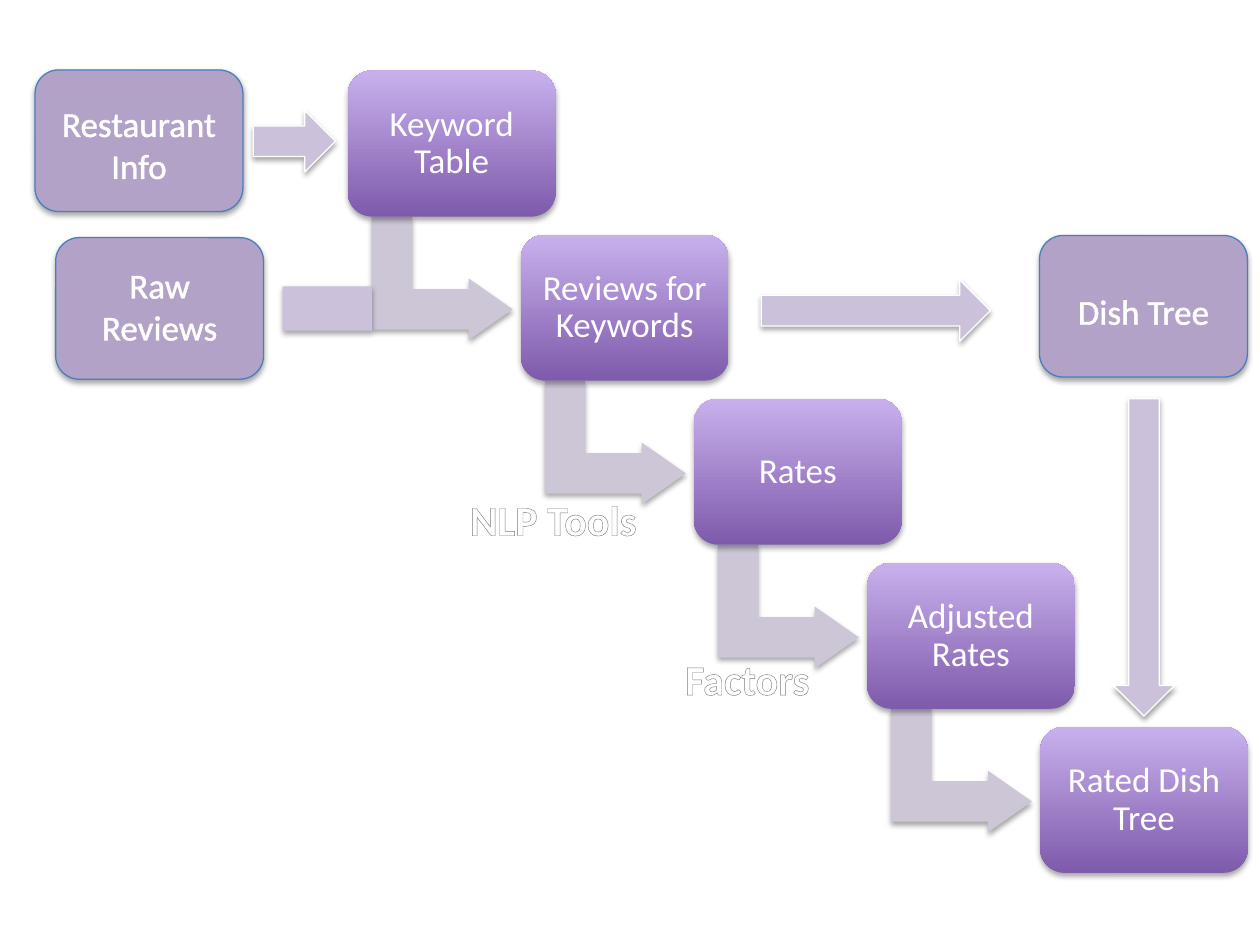
from lxml import etree
from pptx import Presentation
from pptx.dml.color import RGBColor
from pptx.enum.shapes import MSO_SHAPE as SHAPE
from pptx.enum.text import MSO_ANCHOR, MSO_AUTO_SIZE, PP_ALIGN
from pptx.oxml import parse_xml
from pptx.util import Pt

THEME = dict(
    font="Calibri", text="FFFFFF", body=20, caption=24,
    dark="7F5BAB", light="C8B0ED", source="B3A2C7", source_line="4B7EBC",
    elbow="CDC6D7", arrow="CCC1DA", arrow_line="FFFFFF",
    caption_line="7D7D7D", caption_mid="7F7F7F",
)
NS = 'xmlns:a="http://schemas.openxmlformats.org/drawingml/2006/main"'
SHADOW = (f'<a:effectLst {NS}><a:outerShdw blurRad="40000" dist="23000" dir="5400000" '
          'rotWithShape="0"><a:srgbClr val="000000"><a:alpha val="35000"/></a:srgbClr>'
          '</a:outerShdw></a:effectLst>')
OUTLINE = ('<a:ln {ns} w="{width}"><a:solidFill><a:srgbClr val="{color}"/>'
           '</a:solidFill></a:ln>')

prs = Presentation()
prs.slide_width, prs.slide_height = Pt(720), Pt(540)
s = prs.slides.add_slide(prs.slide_layouts[6])


def add_block(kind, box, fill=None, line=None, rotation=0):
    """Shadowed shape; without a fill colour it gets the purple gradient."""
    sp = s.shapes.add_shape(kind, *map(Pt, box))
    sp.rotation = rotation
    if fill:
        sp.fill.solid()
        sp.fill.fore_color.rgb = RGBColor.from_string(fill)
    else:
        sp.fill.gradient()
        sp.fill.gradient_angle = 90
        for stop, pos, name in zip(sp.fill.gradient_stops, (0, 1), ("dark", "light")):
            stop.position = pos
            stop.color.rgb = RGBColor.from_string(THEME[name])
    if line:
        sp.line.color.rgb = RGBColor.from_string(line)
        sp.line.width = Pt(0.75)
    else:
        sp.line.fill.background()
    sp.shadow.inherit = False
    empty = sp.element.spPr.find("{*}effectLst")
    empty.getparent().replace(empty, parse_xml(SHADOW))
    return sp


def add_label(text, box, size, outline=None, bold=False):
    """Centred white text box, optionally with outlined letters."""
    tf = s.shapes.add_textbox(*map(Pt, box)).text_frame
    tf.word_wrap = True
    p = tf.paragraphs[0]
    p.alignment = PP_ALIGN.CENTER
    r = p.add_run()
    r.text = text
    for name, value in dict(name=THEME["font"], size=Pt(size), bold=bold).items():
        setattr(r.font, name, value)
    r.font.color.rgb = RGBColor.from_string(THEME["text"])
    if outline:
        color, width = outline
        r.font.fill  # the letter outline comes before the fill
        r.font._element.insert(0, parse_xml(
            OUTLINE.format(ns=NS, width=Pt(width), color=color)))
    return tf, r


# Staircase of process steps, each joined to the next by an elbow arrow
STEP_W, STEP_H, PITCH_X, PITCH_Y = 118.8, 83.5, 98.9, 93.75
steps = ["Keyword Table", "Reviews for Keywords", "Rates", "Adjusted Rates",
         "Rated Dish Tree"]
for i, step in enumerate(steps):
    x, y = 198.7 + i * PITCH_X, 40.3 + i * PITCH_Y
    if i < len(steps) - 1:
        elbow = add_block(SHAPE.BENT_UP_ARROW, (x + 18.7, y + 78.5, 70.6, 80.6),
                          THEME["elbow"], rotation=90)
        for n, value in enumerate((0.328, 0.25, 0.358)):
            elbow.adjustments[n] = value
    kind = SHAPE.ROUNDED_RECTANGLE if i else SHAPE.FLOWCHART_ALTERNATE_PROCESS
    add_block(kind, (x, y, STEP_W, STEP_H))
    tf, r = add_label(step, (x + 4, y + 4, STEP_W - 8, STEP_H - 8), THEME["body"])
    tf.vertical_anchor = MSO_ANCHOR.MIDDLE
    tf.paragraphs[0].line_spacing = 0.9
    for side in ("left", "right", "top", "bottom"):
        setattr(tf, f"margin_{side}", Pt(6))

# Data sources and the dish tree: text, left, top, label top, label height
for text, x, y, label_y, label_h in [
    ("Restaurant Info", 20, 40, 54.7, 55.7),
    ("Raw Reviews", 31.8, 135.8, 147, 55.7),
    ("Dish Tree", 594, 134.6, 162, 31.5),
]:
    add_block(SHAPE.ROUNDED_RECTANGLE, (x, y, STEP_W, 80.9),
              THEME["source"], THEME["source_line"])
    tf, r = add_label(text, (x, label_y, STEP_W, label_h), THEME["body"],
                      (THEME["text"], 1.45))
    tf.auto_size = MSO_AUTO_SIZE.SHAPE_TO_FIT_TEXT

# Straight arrows, and the bar that runs into the first elbow
for x, y, w, rotation in [(144.7, 63.2, 47, 0), (435, 160, 131, 0),
                          (563, 301, 181.4, 90)]:
    add_block(SHAPE.RIGHT_ARROW, (x, y, w, 35), THEME["arrow"],
              THEME["arrow_line"], rotation)
add_block(SHAPE.RECTANGLE, (161.5, 163.6, 51, 25.3), THEME["arrow"])

# Captions with outlined, gradient-filled letters
stops = "".join(
    f'<a:gs pos="{pos * 1000}"><a:srgbClr val="{THEME[name]}"/></a:gs>'
    for pos, name in [(0, "text"), (9, "text"), (50, "caption_mid"),
                      (79, "text"), (100, "text")])
for text, x, y in [("NLP Tools", 248.4, 278.6), ("Factors", 359.3, 369.7)]:
    tf, r = add_label(text, (x, y, 135.4, 36.3), THEME["caption"],
                      (THEME["caption_line"], 0.83), bold=True)
    tf.auto_size = MSO_AUTO_SIZE.SHAPE_TO_FIT_TEXT
    solid = r.font._element.find("{*}solidFill")
    solid.getparent().replace(solid, parse_xml(
        f'<a:gradFill {NS}><a:gsLst>{stops}</a:gsLst><a:lin ang="5400000"/></a:gradFill>'))

prs.save("out.pptx")
